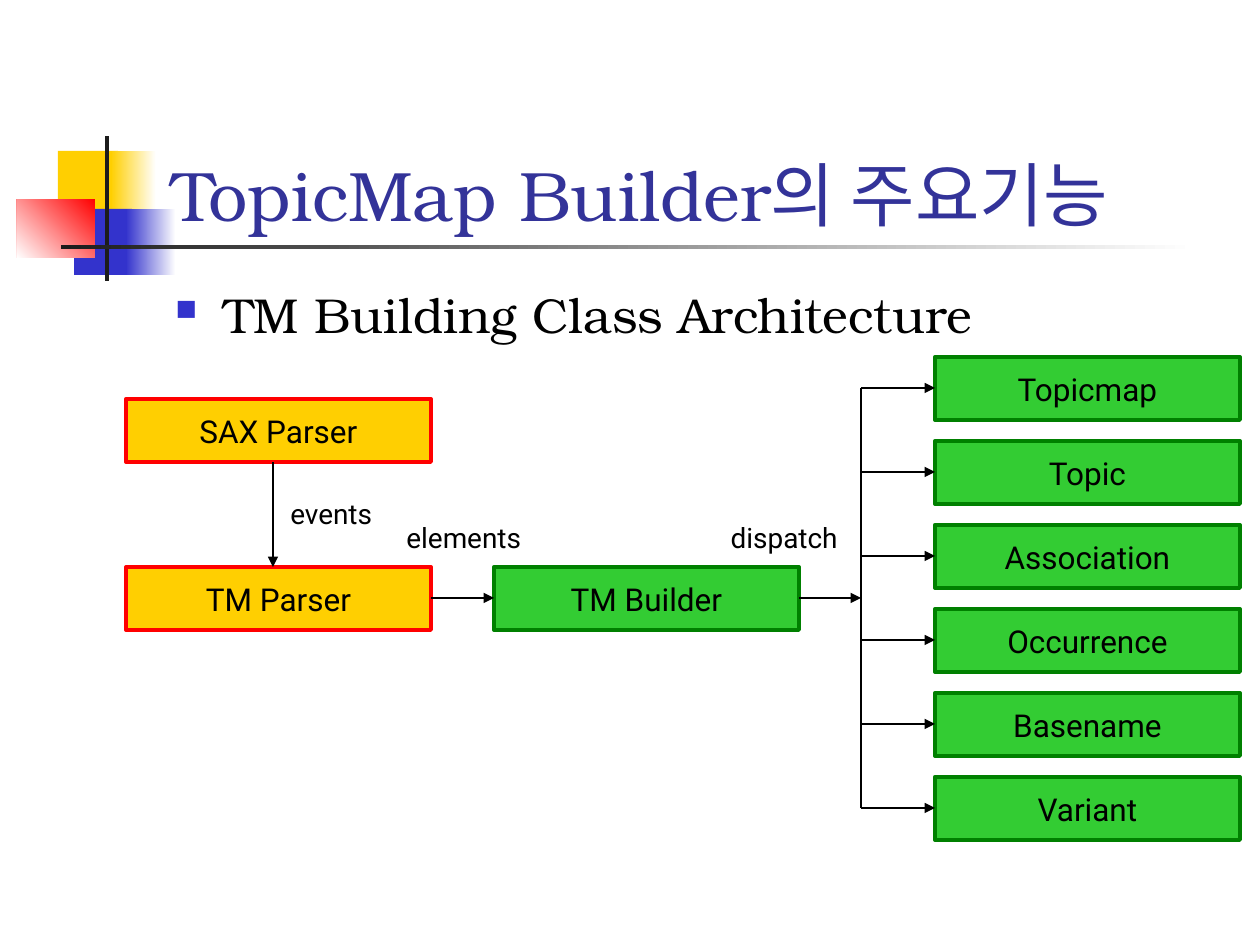
from dataclasses import dataclass

from lxml.etree import SubElement
from pptx import Presentation
from pptx.dml.color import RGBColor
from pptx.enum.shapes import MSO_CONNECTOR, MSO_SHAPE
from pptx.enum.text import MSO_ANCHOR, MSO_AUTO_SIZE, PP_ALIGN
from pptx.oxml.ns import qn
from pptx.util import Emu, Pt


@dataclass(frozen=True)
class Theme:
    white: str = "FFFFFF"
    black: str = "000000"
    dark: str = "1C1C1C"
    gold: str = "FFCF01"
    red: str = "FF0000"
    blue: str = "3333CC"
    navy: str = "333399"
    green: str = "33CC33"
    forest: str = "008000"
    serif: str = "TeX Gyre Bonum"
    sans: str = "Roboto"
    title: int = 40
    body: int = 28
    node: int = 18
    label: int = 16
    border: float = 2.25
    wire: float = 1.5


SCALE = 914400 / 126
NODE_W, NODE_H = 305, 63


def px(*sizes):
    return [Emu(round(size * SCALE)) for size in sizes]


def rgb(code):
    return RGBColor.from_string(code)


class Board:
    def __init__(self, slide, theme):
        self.slide = slide
        self.theme = theme

    def rect(self, box, fill):
        shape = self.slide.shapes.add_shape(MSO_SHAPE.RECTANGLE, *px(*box))
        shape.shadow.inherit = False
        shape.line.fill.background()
        shape.fill.solid()
        shape.fill.fore_color.rgb = rgb(fill)
        return shape

    def fade(self, box, start, end, angle=180):
        """Rectangle with a two-stop gradient; the angle runs anticlockwise."""
        fill = self.rect(box, start).fill
        fill.gradient()
        fill.gradient_angle = angle
        for stop, code in zip(fill.gradient_stops, (start, end)):
            stop.color.rgb = rgb(code)

    def text(self, frame, words, size, face, color, align=PP_ALIGN.LEFT):
        para = frame.paragraphs[0]
        para.text = words
        para.alignment = align
        font = para.font
        font.size, font.name = Pt(size), face
        font.color.rgb = rgb(color)

    def node(self, left, top, words, fill, edge):
        look = self.theme
        shape = self.rect((left, top, NODE_W, NODE_H), fill)
        shape.line.color.rgb = rgb(edge)
        shape.line.width = Pt(look.border)
        frame = shape.text_frame
        frame.word_wrap = False
        frame.vertical_anchor = MSO_ANCHOR.MIDDLE
        self.text(frame, words, look.node, look.sans, look.black, PP_ALIGN.CENTER)

    def wire(self, start, end, arrow=True):
        line = self.slide.shapes.add_connector(
            MSO_CONNECTOR.STRAIGHT, *px(*start, *end))
        line.line.color.rgb = rgb(self.theme.black)
        line.line.width = Pt(self.theme.wire)
        props = line._element.spPr
        if arrow:
            SubElement(props.get_or_add_ln(), qn("a:tailEnd"), type="triangle")
        SubElement(props, qn("a:effectLst"))

    def frame(self, box, wrap=True):
        frame = self.slide.shapes.add_textbox(*px(*box)).text_frame
        frame.word_wrap = wrap
        return frame

    def title(self, box, words):
        look = self.theme
        frame = self.frame(box)
        frame.vertical_anchor = MSO_ANCHOR.BOTTOM
        self.text(frame, words, look.title, look.serif, look.navy)

    def bullet(self, box, words, indent):
        look = self.theme
        frame = self.frame(box)
        props = frame.paragraphs[0]._p.get_or_add_pPr()
        (step,) = px(indent)
        props.set("marL", str(step))
        props.set("indent", str(-step))
        tint = SubElement(props, qn("a:buClr"))
        SubElement(tint, qn("a:srgbClr"), val=look.blue)
        SubElement(props, qn("a:buSzPct"), val="60000")
        SubElement(props, qn("a:buChar"), char="■")
        self.text(frame, words, look.body, look.serif, look.black)

    def label(self, box, words, align=PP_ALIGN.LEFT, wrap=False):
        look = self.theme
        frame = self.frame(box, wrap)
        frame.auto_size = MSO_AUTO_SIZE.SHAPE_TO_FIT_TEXT
        self.text(frame, words, look.label, look.sans, look.black, align)


def decorate(board):
    look = board.theme
    board.rect((58, 151, 60, 66), look.gold)
    board.fade((111, 151, 45, 66), look.white, look.gold)
    board.rect((74, 209, 58, 66), look.blue)
    board.fade((126, 209, 50, 66), look.white, look.blue)
    board.fade((17, 199, 78, 59), look.red, look.white, 225)
    board.rect((105, 136, 4, 145), look.dark)
    board.fade((61, 245, 1134, 4), look.white, look.dark)


def diagram(board):
    look = board.theme
    half = NODE_H // 2
    left, mid, right = 126, 494, 935
    sax, main, trunk, drop = 399, 567, 861, 273
    axis = main + half

    for top, name in ((sax, "SAX Parser"), (main, "TM Parser")):
        board.node(left, top, name, look.gold, look.red)
    board.node(mid, main, "TM Builder", look.green, look.forest)
    board.wire((drop, sax + NODE_H), (drop, main))
    board.wire((left + NODE_W, axis), (mid, axis))
    board.wire((mid + NODE_W, axis), (trunk, axis))

    names = ("Topicmap", "Topic", "Association",
             "Occurrence", "Basename", "Variant")
    tops = [357 + 84 * row for row in range(len(names))]
    board.wire((trunk, tops[0] + half), (trunk, tops[-1] + half), arrow=False)
    for top, name in zip(tops, names):
        board.node(right, top, name, look.green, look.forest)
        board.wire((trunk, top + half), (right, top + half))

    board.label((278, 490, 111, 47), "events")
    board.label((394, 514, 146, 47), "elements")
    board.label((713, 514, 137, 47), "dispatch", PP_ALIGN.RIGHT, wrap=True)


def main():
    deck = Presentation()
    deck.slide_width, deck.slide_height = px(1260, 945)
    board = Board(deck.slides.add_slide(deck.slide_layouts[6]), Theme())
    decorate(board)
    board.title((159, 84, 1074, 158), "TopicMap Builder의 주요기능")
    board.bullet((163, 278, 1071, 567), "TM Building Class Architecture", 48)
    diagram(board)
    deck.save("out.pptx")


if __name__ == "__main__":
    main()
